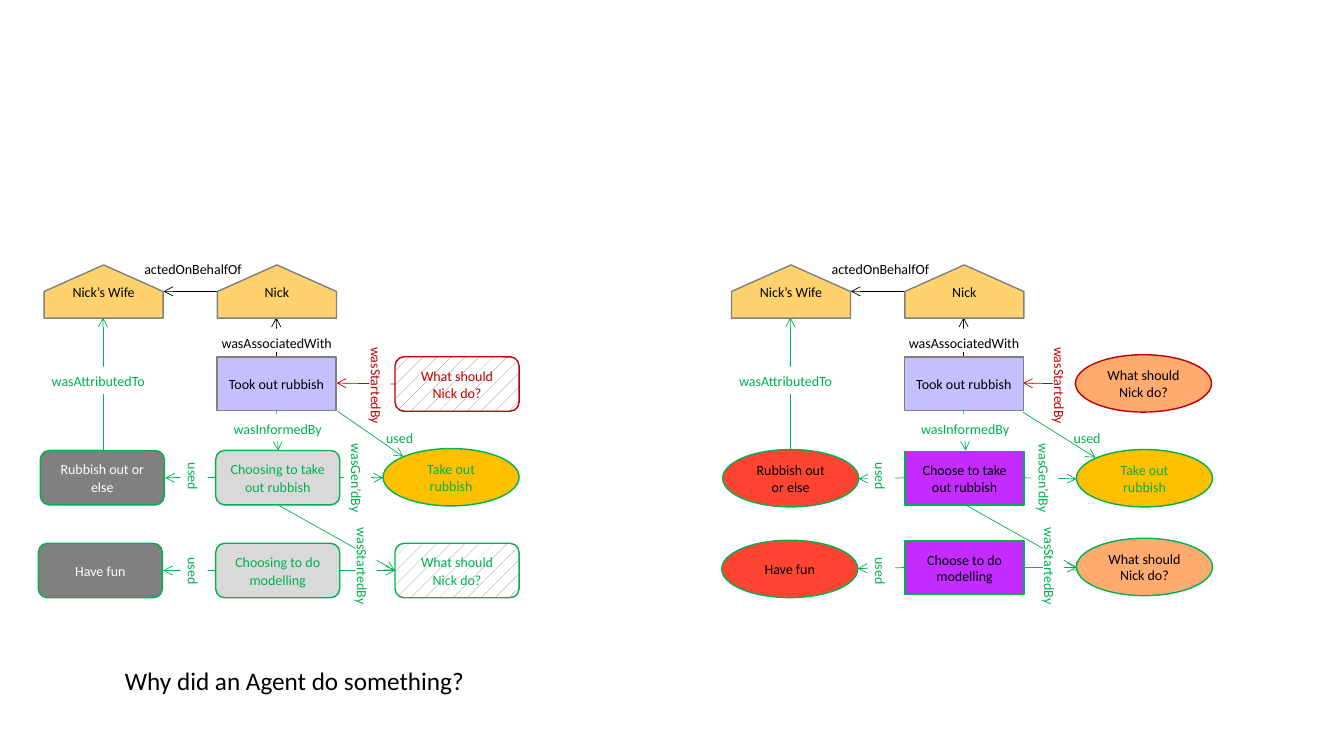
from lxml import etree
from pptx import Presentation
from pptx.dml.color import RGBColor
from pptx.enum.dml import MSO_PATTERN
from pptx.enum.shapes import MSO_CONNECTOR, MSO_SHAPE
from pptx.enum.text import MSO_ANCHOR, MSO_AUTO_SIZE, PP_ALIGN
from pptx.oxml.ns import qn
from pptx.util import Pt

RECT, ROUND, OVAL = MSO_SHAPE.RECTANGLE, MSO_SHAPE.ROUNDED_RECTANGLE, MSO_SHAPE.OVAL
STRAIGHT = MSO_CONNECTOR.STRAIGHT
PERCENT_5 = MSO_PATTERN.PERCENT_5
TOP, MIDDLE = MSO_ANCHOR.TOP, MSO_ANCHOR.MIDDLE
LEFT, CENTER = PP_ALIGN.LEFT, PP_ALIGN.CENTER
FIT_SHAPE = MSO_AUTO_SIZE.SHAPE_TO_FIT_TEXT

BLACK = RGBColor(0x00, 0x00, 0x00)
WHITE = RGBColor(0xFF, 0xFF, 0xFF)
GREY = RGBColor(0x80, 0x80, 0x80)
LIGHT_GREY = RGBColor(0xD9, 0xD9, 0xD9)
GREEN = RGBColor(0x00, 0xB0, 0x50)
RED = RGBColor(0xC0, 0x00, 0x00)
SAND = RGBColor(0xFF, 0xD2, 0x6D)
LILAC = RGBColor(0xC4, 0xBF, 0xFF)
PURPLE = RGBColor(0xC4, 0x2B, 0xFF)
GOLD = RGBColor(0xFF, 0xC0, 0x00)
ORANGE = RGBColor(0xFF, 0xAA, 0x6F)
TOMATO = RGBColor(0xFF, 0x44, 0x32)

FONT = "Calibri"
QUESTION = "Why did an Agent do something?"
NODE_SIZE = {RECT: (85, 38.2), ROUND: (88.6, 38.9), OVAL: (97.2, 41)}
AGENT_WIDTH, AGENT_SHOULDER, AGENT_HEIGHT = 85, 19, 38

# Positions inside each diagram are measured from the diagram's own origin.
AGENTS = [("Nick", 155.3, 189.2), ("Nick’s Wife", 31.5, 189.2)]

# (text, shape, left, top, fill, line, font colour); a fill of None is a pattern
TOOK_OUT = ("Took out rubbish", RECT, 154.9, 254.9, LILAC, GREY, BLACK)
LEFT_NODES = [
    TOOK_OUT,
    ("What should Nick do?", ROUND, 282.2, 254.9, None, RED, RED),
    ("Rubbish out or else", ROUND, 28.8, 321.8, GREY, GREEN, WHITE),
    ("Choosing to take out rubbish", ROUND, 154.1, 321.8, LIGHT_GREY, GREEN, GREEN),
    ("Take out rubbish", OVAL, 273.6, 320.4, GOLD, GREEN, GREEN),
    ("Have fun", ROUND, 27.4, 388.1, GREY, GREEN, WHITE),
    ("Choosing to do modelling", ROUND, 154.1, 388.1, LIGHT_GREY, GREEN, GREEN),
    ("What should Nick do?", ROUND, 282.2, 388.1, None, GREEN, GREEN),
]
RIGHT_NODES = [
    TOOK_OUT,
    ("What should Nick do?", OVAL, 277.2, 253.4, ORANGE, RED, BLACK),
    ("Rubbish out or else", OVAL, 25.2, 321.1, TOMATO, GREEN, BLACK),
    ("Choose to take out rubbish", RECT, 155.5, 322.6, PURPLE, GREEN, BLACK),
    ("Take out rubbish", OVAL, 277.9, 321.1, GOLD, GREEN, GREEN),
    ("Have fun", OVAL, 24.5, 385.9, TOMATO, GREEN, BLACK),
    ("Choose to do modelling", RECT, 155.5, 386.6, PURPLE, GREEN, BLACK),
    ("What should Nick do?", OVAL, 277.9, 384.5, ORANGE, GREEN, BLACK),
]

# (colour, start x, start y, end x, end y); the arrowhead is at the end
SHARED_ARROWS = [
    (BLACK, 197.3, 254.9, 197.3, 226.8),
    (BLACK, 155.5, 208.1, 116.8, 208.1),
    (GREEN, 197.3, 293.3, 198.7, 321.8),
    (GREEN, 198.7, 360.7, 282, 407.5),
    (GREEN, 73.6, 321.8, 73.6, 226.8),
]
LEFT_ARROWS = [
    (GREEN, 154.1, 341.3, 118.1, 341.3),
    (RED, 282.2, 274.3, 240.5, 273.6),
    (GREEN, 242.6, 341.3, 273.6, 341.3),
    (GREEN, 241.2, 293.8, 288, 326.2),
    (GREEN, 242.6, 407.5, 282.2, 407.5),
    (GREEN, 154.1, 407.5, 116.6, 407.5),
]
RIGHT_ARROWS = [
    (GREEN, 155.5, 341.3, 122.4, 342),
    (RED, 277.2, 274.3, 239.8, 273.6),
    (GREEN, 240.5, 341.3, 277.9, 342),
    (GREEN, 239.8, 294.5, 291.6, 326.9),
    (GREEN, 240.5, 405.4, 277.9, 405.4),
    (GREEN, 155.5, 405.4, 121.7, 406.1),
]

# (text, left, top, width, height, rotation, filled, colour, alignment)
LABELS = [
    ("wasAssociatedWith", 161.3, 234.7, 72.7, 16.6, 0, True, BLACK, CENTER),
    ("wasInformedBy", 162, 295.9, 72.7, 19.4, 0, True, GREEN, CENTER),
    ("actedOnBehalfOf", 101.5, 182.2, 72.7, 19.4, 0, False, BLACK, CENTER),
    ("wasAttributedTo", 33.8, 262.1, 72.7, 19.4, 0, True, GREEN, CENTER),
    ("used", 121.7, 330.5, 33.8, 19.4, 90, True, GREEN, CENTER),
    ("used", 121.7, 398.2, 33.8, 19.4, 90, True, GREEN, CENTER),
    ("used", 275, 302.4, 20.9, 19.4, 0, False, GREEN, CENTER),
    ("wasGen’dBy", 234, 331.9, 42.5, 19.4, 90, True, GREEN, CENTER),
    ("wasStartedBy", 229, 394.6, 64.8, 15.1, 90, True, GREEN, LEFT),
]
LEFT_RED_LABEL = ("wasStartedBy", 239, 265.7, 64.8, 15.1, 90, True, RED, LEFT)
RIGHT_RED_LABEL = ("wasStartedBy", 236.2, 265.7, 64.8, 15.1, 90, True, RED, LEFT)

DIAGRAMS = [
    (0, LEFT_NODES, SHARED_ARROWS + LEFT_ARROWS, LABELS + [LEFT_RED_LABEL]),
    (491, RIGHT_NODES, SHARED_ARROWS + RIGHT_ARROWS, LABELS + [RIGHT_RED_LABEL]),
]


def write(shape, text, color, anchor=MIDDLE, alignment=CENTER, wrap=True, spaced=False, size=10):
    frame = shape.text_frame
    frame.word_wrap = wrap
    frame.vertical_anchor = anchor
    paragraph = frame.paragraphs[0]
    paragraph.alignment = alignment
    if spaced:
        paragraph.line_spacing = 1.05
        paragraph.space_after = Pt(8)
    run = paragraph.add_run()
    run.text = text
    run.font.name = FONT
    run.font.size = Pt(size)
    run.font.color.rgb = color


def paint(shape, fill, line):
    """Fill and outline a shape; no fill colour gives a dotted pattern."""
    shape.shadow.inherit = False
    if fill is None:
        shape.fill.patterned()
        shape.fill.pattern = PERCENT_5
        shape.fill.fore_color.rgb = GREY
        shape.fill.back_color.rgb = WHITE
    else:
        shape.fill.solid()
        shape.fill.fore_color.rgb = fill
    if line is None:
        shape.line.fill.background()
    else:
        shape.line.color.rgb = line
        shape.line.width = Pt(1)


def add_arrow(shapes, origin, color, x1, y1, x2, y2):
    arrow = shapes.add_connector(STRAIGHT, Pt(origin + x1), Pt(y1), Pt(origin + x2), Pt(y2))
    arrow.line.color.rgb = color
    arrow.line.width = Pt(0.5)
    etree.SubElement(arrow.line._get_or_add_ln(), qn("a:tailEnd"), type="arrow")
    etree.SubElement(arrow._element.spPr, qn("a:effectLst"))


def add_agent(shapes, origin, text, left, top):
    """Draw a house-shaped agent."""
    left += origin
    right, shoulder, bottom = left + AGENT_WIDTH, top + AGENT_SHOULDER, top + AGENT_HEIGHT
    builder = shapes.build_freeform(Pt(left + AGENT_WIDTH / 2), Pt(top))
    corners = [(right, shoulder), (right, bottom), (left, bottom), (left, shoulder)]
    builder.add_line_segments([(Pt(x), Pt(y)) for x, y in corners])
    agent = builder.convert_to_shape()
    paint(agent, SAND, GREY)
    write(agent, text, BLACK)


def add_node(shapes, origin, text, kind, left, top, fill, line, color):
    width, height = NODE_SIZE[kind]
    node = shapes.add_shape(kind, Pt(origin + left), Pt(top), Pt(width), Pt(height))
    paint(node, fill, line)
    write(node, text, color, spaced=kind == ROUND)
    if kind == ROUND:
        node.text_frame.margin_top = node.text_frame.margin_bottom = 0


def add_label(shapes, origin, text, left, top, width, height, rotation, filled, color, alignment):
    label = shapes.add_shape(RECT, Pt(origin + left), Pt(top), Pt(width), Pt(height))
    paint(label, WHITE, None)
    if not filled:
        label.fill.background()
    label.rotation = rotation
    write(label, text, color, TOP, alignment, wrap=False, spaced=True)


def main():
    presentation = Presentation()
    presentation.slide_width, presentation.slide_height = Pt(960), Pt(540)
    shapes = presentation.slides.add_slide(presentation.slide_layouts[6]).shapes
    for origin, nodes, arrows, labels in DIAGRAMS:
        for add, items in ((add_arrow, arrows), (add_agent, AGENTS),
                           (add_node, nodes), (add_label, labels)):
            for item in items:
                add(shapes, origin, *item)
    question = shapes.add_textbox(Pt(82.1), Pt(471.6), Pt(260), Pt(29))
    write(question, QUESTION, BLACK, TOP, LEFT, wrap=False, size=18)
    question.text_frame.auto_size = FIT_SHAPE
    presentation.save("out.pptx")


if __name__ == "__main__":
    main()
